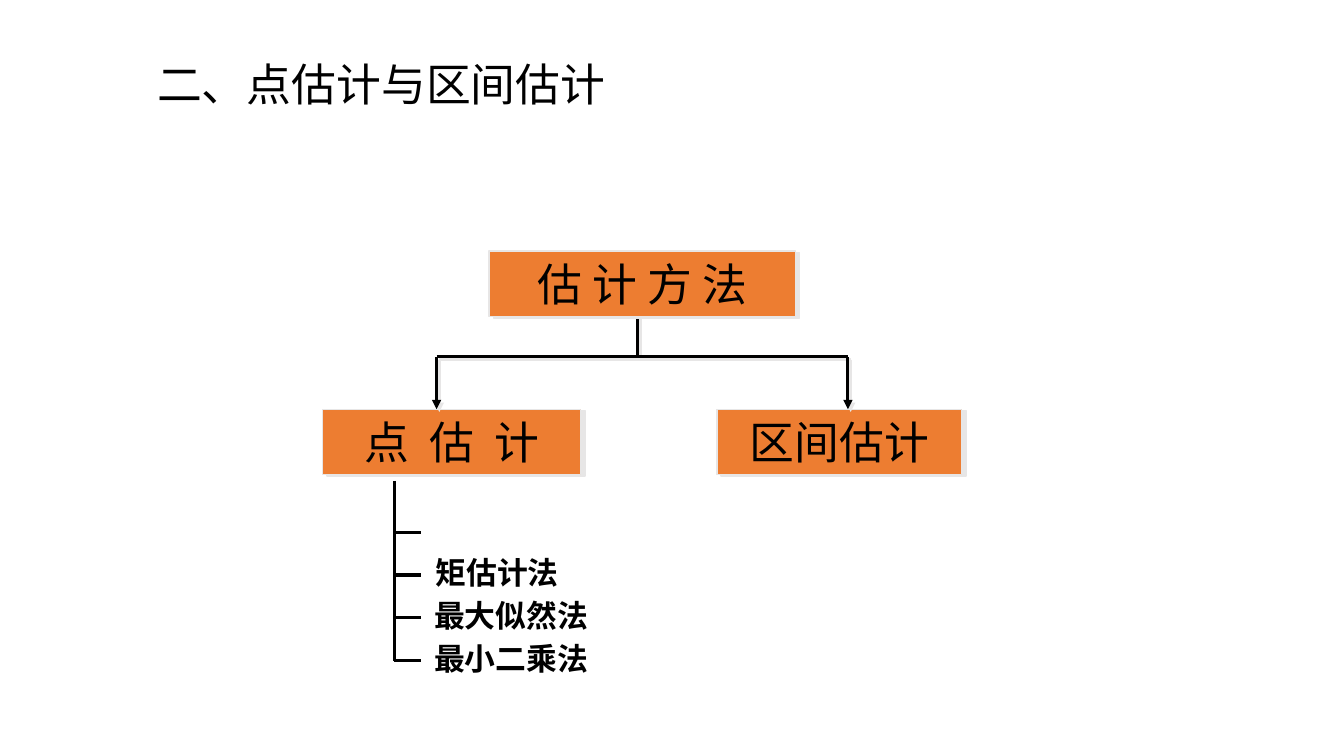
from dataclasses import dataclass

import pptx
import pptx.dml.color
import pptx.enum.shapes
import pptx.enum.text
import pptx.oxml
import pptx.oxml.ns
import pptx.util
from pptx.util import Inches

ALIGN = pptx.enum.text.PP_ALIGN
NS = pptx.oxml.ns.nsdecls("a")


@dataclass(frozen=True)
class Theme:
    ink: str = "000000"
    fill: str = "ED7D31"
    edge: str = "E7E6E6"
    head: int = 32
    item: int = 22
    line: float = 2.25
    rim: float = 1
    arial: str = "Arial"
    body: str = "Calibri"
    cjk: str = "Noto Sans CJK SC"


THEME = Theme()


def color(code):
    return pptx.dml.color.RGBColor.from_string(code)


def shade(shape, dist=0, angle=0):
    """Give the shape a hard offset shadow, or none when dist is zero."""
    drop = ""
    if dist:
        drop = (f'<a:outerShdw dist="{pptx.util.Pt(dist)}" dir="{angle * 60000}" '
                f'algn="ctr" rotWithShape="0"><a:srgbClr val="{THEME.edge}"/></a:outerShdw>')
    xml = f"<a:effectLst {NS}>{drop}</a:effectLst>"
    shape._element.spPr.append(pptx.oxml.parse_xml(xml))


def write(shape, text, size, font, align=ALIGN.CENTER, bold=False, gap=0):
    """Fill the shape with one run; gap is extra letter spacing in points."""
    frame = shape.text_frame
    frame.word_wrap = True
    frame.vertical_anchor = pptx.enum.text.MSO_ANCHOR.MIDDLE
    frame.margin_top = frame.margin_bottom = 0
    para = frame.paragraphs[0]
    para.alignment = align
    run = para.add_run()
    run.text = text
    run.font.size = pptx.util.Pt(size)
    run.font.bold = bold
    run.font.color.rgb = color(THEME.ink)
    run.font.name = font
    props = run.font._element
    props.append(pptx.oxml.parse_xml(f'<a:ea {NS} typeface="{THEME.cjk}"/>'))
    if gap:
        props.set("spc", str(int(gap * 100)))
    return para


def add_title(slide, text):
    box = slide.shapes.add_textbox(Inches(1.46), Inches(0.42), Inches(5.43), Inches(0.89))
    para = write(box, text, THEME.head, THEME.arial, ALIGN.LEFT)
    para.line_spacing = 0.9


def add_node(slide, text, x, y, width, gap=0):
    node = slide.shapes.add_shape(
        pptx.enum.shapes.MSO_SHAPE.RECTANGLE,
        Inches(x), Inches(y), Inches(width), Inches(0.65))
    node.fill.solid()
    node.fill.fore_color.rgb = color(THEME.fill)
    node.line.color.rgb = color(THEME.edge)
    node.line.width = pptx.util.Pt(THEME.rim)
    shade(node, 3.2, 18)
    write(node, text, THEME.head, THEME.cjk, gap=gap)


def add_line(slide, x1, y1, x2, y2, drop=False, arrow=False):
    line = slide.shapes.add_connector(
        pptx.enum.shapes.MSO_CONNECTOR.STRAIGHT,
        Inches(x1), Inches(y1), Inches(x2), Inches(y2))
    line.line.color.rgb = color(THEME.ink)
    line.line.width = pptx.util.Pt(THEME.line)
    if arrow:
        tip = pptx.oxml.parse_xml(f'<a:tailEnd {NS} type="triangle"/>')
        line.line._get_or_add_ln().append(tip)
    shade(line, 2.8 if drop else 0, 45)


def add_label(slide, text, x, y, width):
    box = slide.shapes.add_textbox(Inches(x), Inches(y), Inches(width), Inches(0.45))
    write(box, text, THEME.item, THEME.body, bold=True)


def add_list(slide):
    """Draw the point methods beside a stem with evenly spaced ticks."""
    stem, first, step = 3.91, 5.28, 0.425
    labels = (("矩估计法", 3.68, 2.5), ("最大似然法", 4, 2.14), ("最小二乘法", 4, 2.14))
    for i, (text, x, width) in enumerate(labels):
        add_label(slide, text, x, 5.45 + i * step, width)
    add_line(slide, stem, 4.77, stem, first + 3 * step)
    for i in range(4):
        y = first + i * step
        add_line(slide, stem, y, stem + 0.27, y)


def main():
    deck = pptx.Presentation()
    deck.slide_width, deck.slide_height = Inches(13.33), Inches(7.5)
    slide = deck.slides.add_slide(deck.slide_layouts[6])

    add_title(slide, "二、点估计与区间估计")
    left, right, fork, row = 4.33, 8.41, 3.54, 4.06
    add_line(slide, 6.32, 3.1, 6.32, fork, drop=True)
    add_line(slide, left, fork, right, fork, drop=True)
    add_list(slide)
    add_node(slide, "估 计 方 法", 4.85, 2.49, 3.04)
    add_node(slide, "点 估 计", 3.2, row, 2.56, gap=3.6)
    add_node(slide, "区间估计", 7.11, row, 2.43)
    for x in (right, left):
        add_line(slide, x, fork, x, row, drop=True, arrow=True)

    deck.save("out.pptx")


if __name__ == "__main__":
    main()
